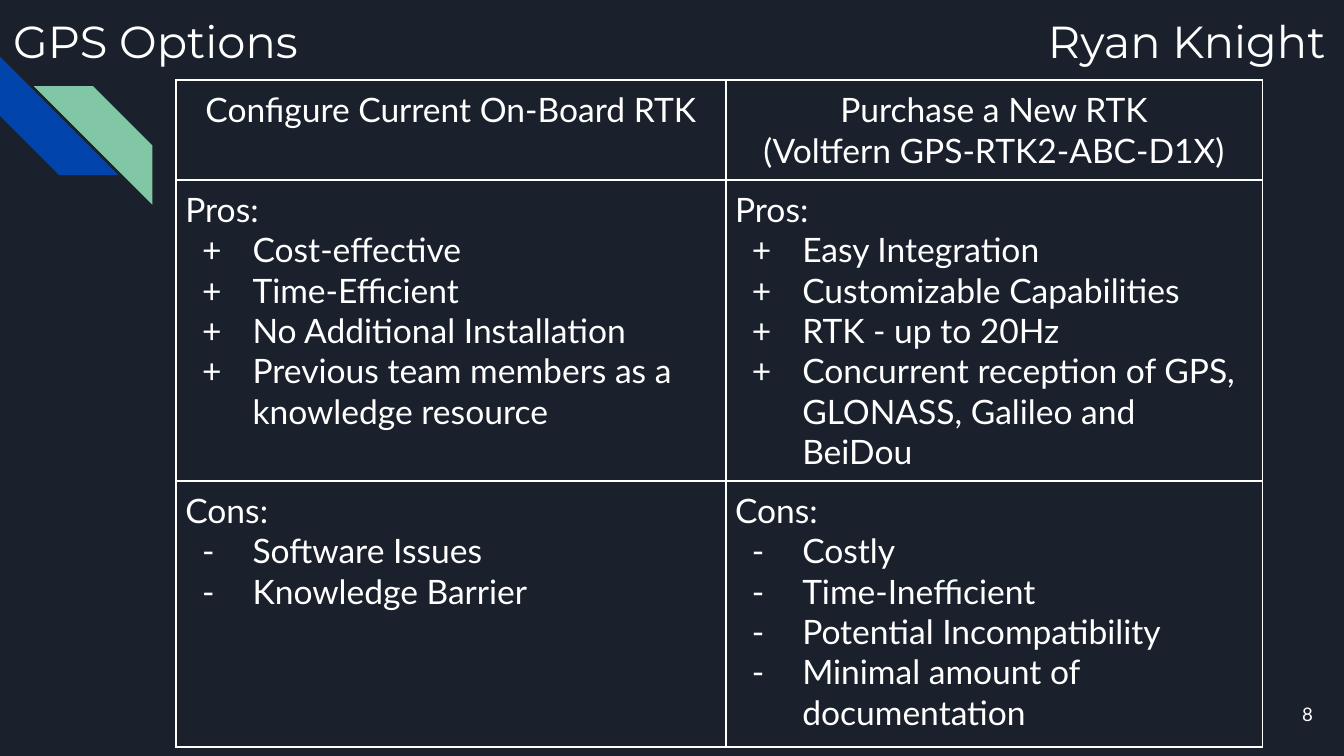
from pptx import Presentation
from pptx.dml.color import RGBColor
from pptx.enum.shapes import MSO_SHAPE
from pptx.enum.text import MSO_ANCHOR, PP_ALIGN
from pptx.oxml import parse_xml
from pptx.oxml.ns import nsdecls
from pptx.util import Pt

HUES = {"back": "1B212C", "blue": "0145AC", "green": "82C7A5", "text": "FFFFFF"}
NS = nsdecls("a")
PAINT = f'<a:solidFill {NS}><a:srgbClr val="{HUES["text"]}"/></a:solidFill>'


def style(par, face, size):
    par.font.name = face
    par.font.size = Pt(size)
    par.font.color.rgb = RGBColor.from_string(HUES["text"])
    for run in par.runs:
        run.font.name = face
        run.font.size = Pt(size)
        run.font.color.rgb = RGBColor.from_string(HUES["text"])


def add_box(left, top, width, height, text):
    """Add a wrapped text box and return its frame."""
    frame = slide.shapes.add_textbox(Pt(left), Pt(top), Pt(width), Pt(height)).text_frame
    frame.word_wrap = True
    frame.margin_left = frame.margin_right = Pt(7.2)
    frame.margin_top = frame.margin_bottom = Pt(7.2)
    frame.text = text
    return frame


deck = Presentation()
deck.slide_width, deck.slide_height = Pt(720), Pt(405)
slide = deck.slides.add_slide(deck.slide_layouts[6])
slide.background.fill.solid()
slide.background.fill.fore_color.rgb = RGBColor.from_string(HUES["back"])

# Corner stripes
for hue, left, top, turn in [("blue", 0, 30.3, 270), ("green", 18.1, 46.2, 90)]:
    stripe = slide.shapes.add_shape(
        MSO_SHAPE.DIAGONAL_STRIPE, Pt(left), Pt(top), Pt(63.5), Pt(63.5))
    stripe.rotation = turn
    stripe.shadow.inherit = False
    stripe.fill.solid()
    stripe.fill.fore_color.rgb = RGBColor.from_string(HUES[hue])
    stripe.line.fill.background()

# Title on the left, speaker at a right tab
title = add_box(0, 0, 720, 72, "GPS Options\tRyan Knight").paragraphs[0]
title._p.get_or_add_pPr().append(parse_xml(
    f'<a:tabLst {NS}><a:tab pos="{Pt(703)}" algn="r"/></a:tabLst>'))
style(title, "Montserrat", 24)

# Comparison table: a cell is a lead, its bullet sign and its items
rows = [
    [("Configure Current On-Board RTK", "", []),
     ("Purchase a New RTK", "", ["(Voltfern GPS-RTK2-ABC-D1X)"])],
    [("Pros:", "+", ["Cost-effective", "Time-Efficient", "No Additional Installation",
                     "Previous team members as a knowledge resource"]),
     ("Pros:", "+", ["Easy Integration", "Customizable Capabilities", "RTK - up to 20Hz",
                     "Concurrent reception of GPS, GLONASS, Galileo and BeiDou"])],
    [("Cons:", "-", ["Software Issues", "Knowledge Barrier"]),
     ("Cons:", "-", ["Costly", "Time-Inefficient", "Potential Incompatibility",
                     "Minimal amount of documentation"])],
]
widths = [294.5, 287.5]
heights = [53.5, 161, 142.5]
table = slide.shapes.add_table(
    3, 2, Pt(94.3), Pt(43), Pt(sum(widths)), Pt(sum(heights))).table
for col, width in zip(table.columns, widths):
    col.width = Pt(width)
for row, height in zip(table.rows, heights):
    row.height = Pt(height)

for r, row in enumerate(rows):
    for c, (lead, sign, items) in enumerate(row):
        cell = table.cell(r, c)
        cell.margin_left = cell.margin_right = Pt(5)
        cell.margin_top = cell.margin_bottom = Pt(5)
        cell.fill.background()
        for i, side in enumerate(["lnL", "lnR", "lnT", "lnB"]):
            cell._tc.get_or_add_tcPr().insert(i, parse_xml(
                f'<a:{side} {NS} w="{Pt(1)}">{PAINT}</a:{side}>'))
        cell.text_frame.text = "\n".join([lead, *items])
        for i, par in enumerate(cell.text_frame.paragraphs):
            if not sign:
                par.alignment = PP_ALIGN.CENTER
            elif i:
                props = par._p.get_or_add_pPr()
                props.set("marL", str(Pt(36)))
                props.set("indent", str(Pt(-27)))
                props.append(parse_xml(
                    f'<a:buClr {NS}><a:srgbClr val="{HUES["text"]}"/></a:buClr>'))
                props.append(parse_xml(f'<a:buFont {NS} typeface="Lato"/>'))
                props.append(parse_xml(f'<a:buChar {NS} char="{sign}"/>'))
            style(par, "Lato", 18)

# Page number
page = add_box(667.2, 367.2, 43.2, 31, "8")
page.vertical_anchor = MSO_ANCHOR.MIDDLE
page.paragraphs[0].alignment = PP_ALIGN.RIGHT
style(page.paragraphs[0], "Lato", 10)

deck.save("out.pptx")
